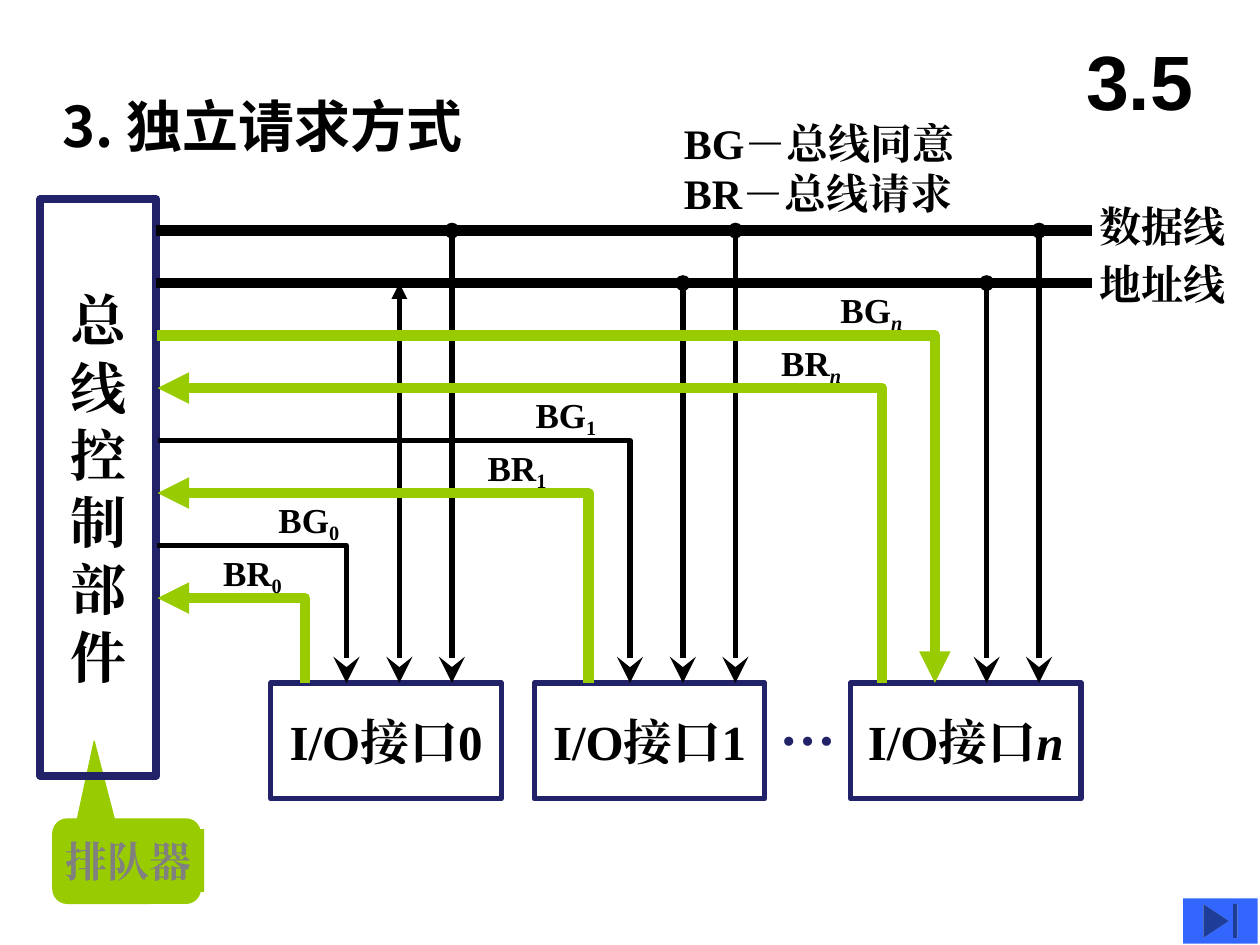
from lxml import etree
from pptx import Presentation, util as u
from pptx.dml.color import RGBColor
from pptx.enum import shapes, text
from pptx.oxml.ns import qn

COLORS = {"black": "000000", "navy": "222268", "green": "99CC00",
          "gray": "808080", "blue": "3366FF"}
SERIF, SANS, CJK = "Times New Roman", "Arial", "Noto Sans CJK SC"
SHAPE = shapes.MSO_SHAPE
CENTER, MIDDLE = text.PP_ALIGN.CENTER, text.MSO_ANCHOR.MIDDLE
BUS_X, IO_Y = 1.25, 5.42
DATA_Y, STEP = 1.83, 5 / 12
ADDRESS_Y = DATA_Y + STEP


def add_run(p, content, size=24, font=SERIF, color="black", italic=False, baseline=None):
    r = p.add_run()
    r.text = content
    f = r.font
    f.size, f.name, f.bold, f.italic = u.Pt(size), font, True, italic
    f.color.rgb = RGBColor.from_string(COLORS[color])
    etree.SubElement(f._element, qn("a:ea")).set("typeface", font)
    if baseline:
        f._element.set("baseline", str(baseline))


class Board:
    """Drawing style and the current slide."""

    def __init__(self, s):
        self.s = s

    def fill_text(self, sp, lines, align=None, anchor=None, inset=True, wrap=False, **fmt):
        """Each line is a list of (text, extra format) pairs."""
        tf = sp.text_frame
        tf.word_wrap = wrap
        tf.vertical_anchor = anchor or text.MSO_ANCHOR.TOP
        if not inset:
            tf.margin_left = tf.margin_right = tf.margin_top = tf.margin_bottom = 0
        for i, line in enumerate(lines):
            p = tf.paragraphs[0] if i == 0 else tf.add_paragraph()
            p.alignment = align or text.PP_ALIGN.LEFT
            for content, extra in line:
                add_run(p, content, **{**fmt, **extra})

    def label(self, box, lines, **fmt):
        sp = self.s.shapes.add_textbox(*map(u.Inches, box))
        self.fill_text(sp, lines, **fmt)

    def shape(self, kind, box, fill=None, line=None, width=1):
        sp = self.s.shapes.add_shape(kind, *map(u.Inches, box))
        sp.shadow.inherit = False
        if fill:
            sp.fill.solid()
            sp.fill.fore_color.rgb = RGBColor.from_string(COLORS[fill])
        else:
            sp.fill.background()
        if line:
            self.stroke(sp, line, width)
        else:
            sp.line.fill.background()
        return sp

    def stroke(self, sp, color, width, head=None, tail=None):
        sp.line.color.rgb = RGBColor.from_string(COLORS[color])
        sp.line.width = u.Pt(width)
        ln = sp.line._get_or_add_ln()
        if head or tail:
            etree.SubElement(ln, qn("a:round"))
        for tag, end in (("a:headEnd", head), ("a:tailEnd", tail)):
            if end:
                size = "lg" if end == "stealth" else "med"
                el = etree.SubElement(ln, qn(tag))
                for key, value in (("type", end), ("w", size), ("len", size)):
                    el.set(key, value)

    def line(self, start, end, width, head=None, tail=None):
        cx = self.s.shapes.add_connector(shapes.MSO_CONNECTOR.STRAIGHT,
                                         *map(u.Inches, (*start, *end)))
        self.stroke(cx, "black", width, head, tail)
        etree.SubElement(cx._element.spPr, qn("a:effectLst"))

    def elbow(self, x, y, color, width, head=None, tail=None):
        """Signal line from the controller across to x, then down to an interface."""
        fb = self.s.shapes.build_freeform(u.Inches(BUS_X), u.Inches(y))
        fb.add_line_segments([(u.Inches(x), u.Inches(y)),
                              (u.Inches(x), u.Inches(IO_Y))], close=False)
        sp = fb.convert_to_shape()
        sp.shadow.inherit = False
        sp.fill.background()
        self.stroke(sp, color, width, head, tail)


def main():
    prs = Presentation()
    prs.slide_width, prs.slide_height = u.Inches(10), u.Inches(7.5)
    b = Board(prs.slides.add_slide(prs.slide_layouts[6]))

    # Queue callout
    sp = b.shape(SHAPE.ROUNDED_RECTANGULAR_CALLOUT, (0.42, 6.5, 1.17, 0.67),
                 "green", "green", 0.75)
    for i, value in enumerate((-0.22, -1.42, 0.17)):
        sp.adjustments[i] = value
    sp = b.shape(SHAPE.RECTANGLE, (0.42, 6.58, 1.2, 0.5), "green")
    b.fill_text(sp, [[("排队器", {})]], color="gray")

    # Headings and legend
    b.label((0.4, 0.68, 4.6, 0.64), [[("3. 独立请求方式", {})]], size=32, font=CJK, wrap=True)
    b.label((8.42, 0.17, 1.25, 0.92), [[("3.5", {})]], size=44, font=SANS,
            align=CENTER, anchor=MIDDLE, wrap=True)
    b.label((5.33, 0.88, 2.58, 0.9), [[("BG－总线同意", {})], [("BR－总线请求", {})]], wrap=True)

    # Bus controller
    sp = b.shape(SHAPE.RECTANGLE, (0.32, 1.58, 0.92, 4.58), line="navy", width=4.5)
    b.fill_text(sp, [[(c, {})] for c in "总线控制部件"], CENTER, MIDDLE, size=32)

    # Data and address buses
    for name, y, top in (("数据线", DATA_Y, 1.54), ("地址线", ADDRESS_Y, 2)):
        b.line((1.24, y), (8.67, y), 6)
        b.label((8.63, top, 1.2, 0.5), [[(name, {})]])

    # Interfaces: index, box left, request x, grant x, address x, grant row
    units = (("0", 2.15, 2.42, 2.75, 3.17, 6),
             ("1", 4.24, 4.67, 5, 5.42, 4),
             ("n", 6.75, 7, 7.42, 7.83, 2))
    for index, left, request_x, grant_x, address_x, row in units:
        last = index == "n"
        sp = b.shape(SHAPE.RECTANGLE, (left, IO_Y, 1.83, 0.92), line="navy", width=3)
        b.fill_text(sp, [[("I/O接口", {}), (index, {"italic": last})]], CENTER, MIDDLE, size=28)

        first = "triangle" if index == "0" else "oval"
        b.line((address_x, ADDRESS_Y), (address_x, IO_Y), 3, first, "stealth")
        data_x = address_x + STEP
        b.line((data_x, DATA_Y), (data_x, IO_Y), 3, "oval", "stealth")

        grant_y = DATA_Y + row * STEP
        request_y = grant_y + STEP
        if last:
            b.elbow(grant_x, grant_y, "green", 6, tail="triangle")
        else:
            b.elbow(grant_x, grant_y, "black", 3, tail="stealth")
        b.elbow(request_x, request_y, "green", 6, head="triangle")

        # Signal names
        grant_left = 2.21 if index == "0" else grant_x - 0.75
        request_left = 1.77 if index == "0" else request_x - 0.8
        for name, x, y in (("BG", grant_left, grant_y), ("BR", request_left, request_y)):
            b.label((x, y - 0.37, 0.92, 0.37),
                    [[(name, {}), (index, {"italic": last, "baseline": -20000})]],
                    size=20, inset=False, wrap=True)

    b.label((6.09, IO_Y, 0.64, 0.64), [[("…", {})]], size=32, color="navy")

    # Navigation button
    b.shape(SHAPE.ACTION_BUTTON_END, (9.39, 7.13, 0.59, 0.36), "blue")

    prs.save("out.pptx")


if __name__ == "__main__":
    main()
